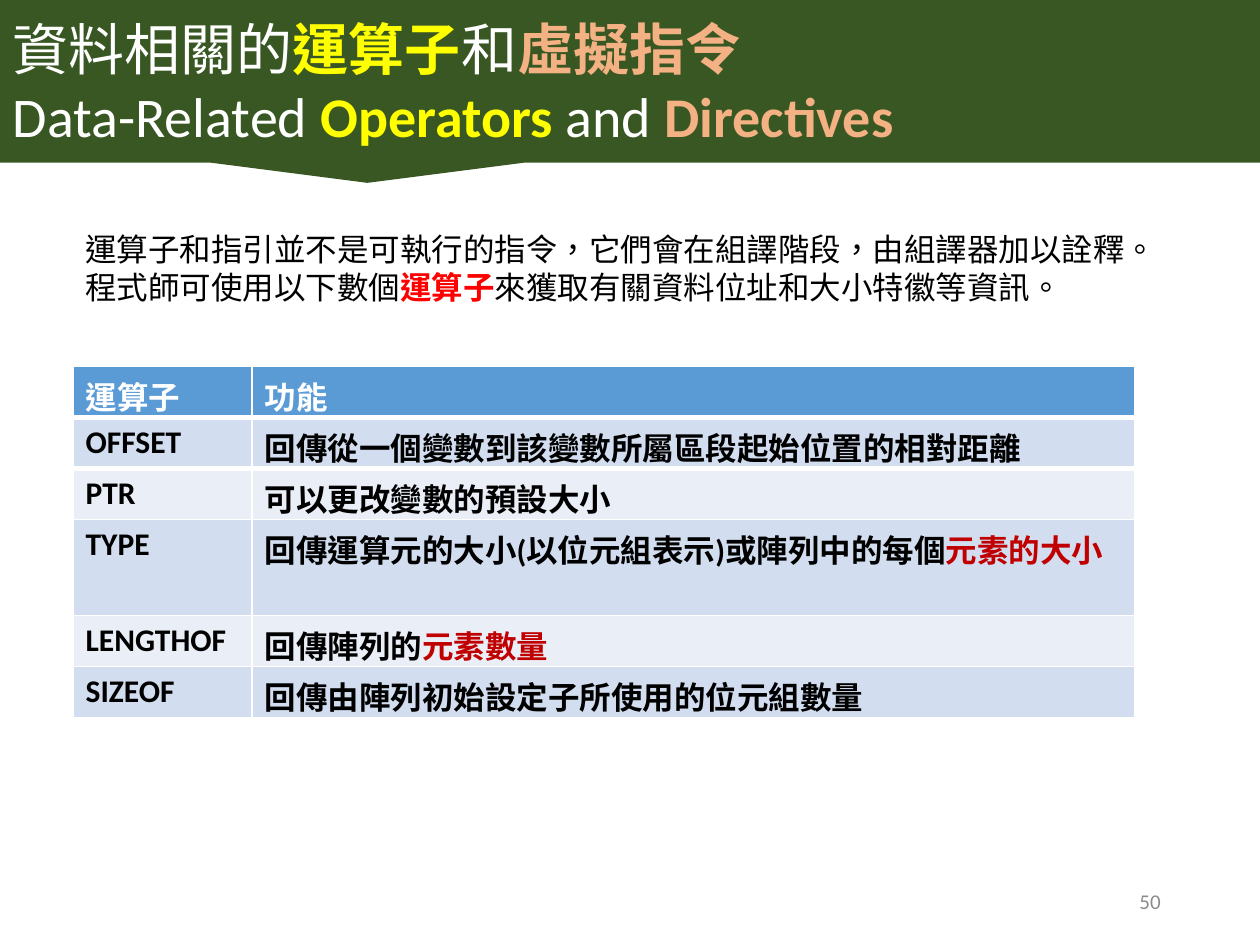
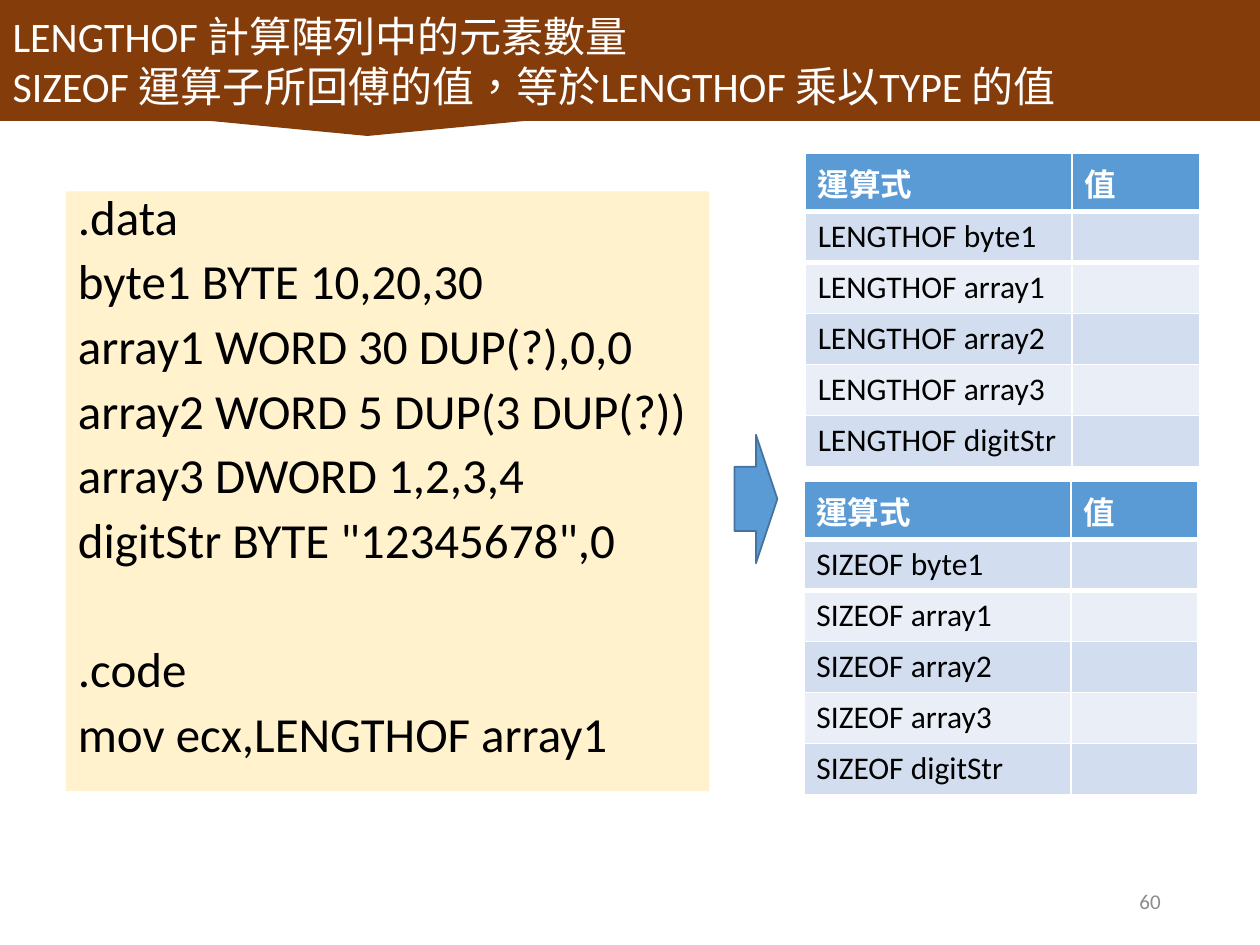
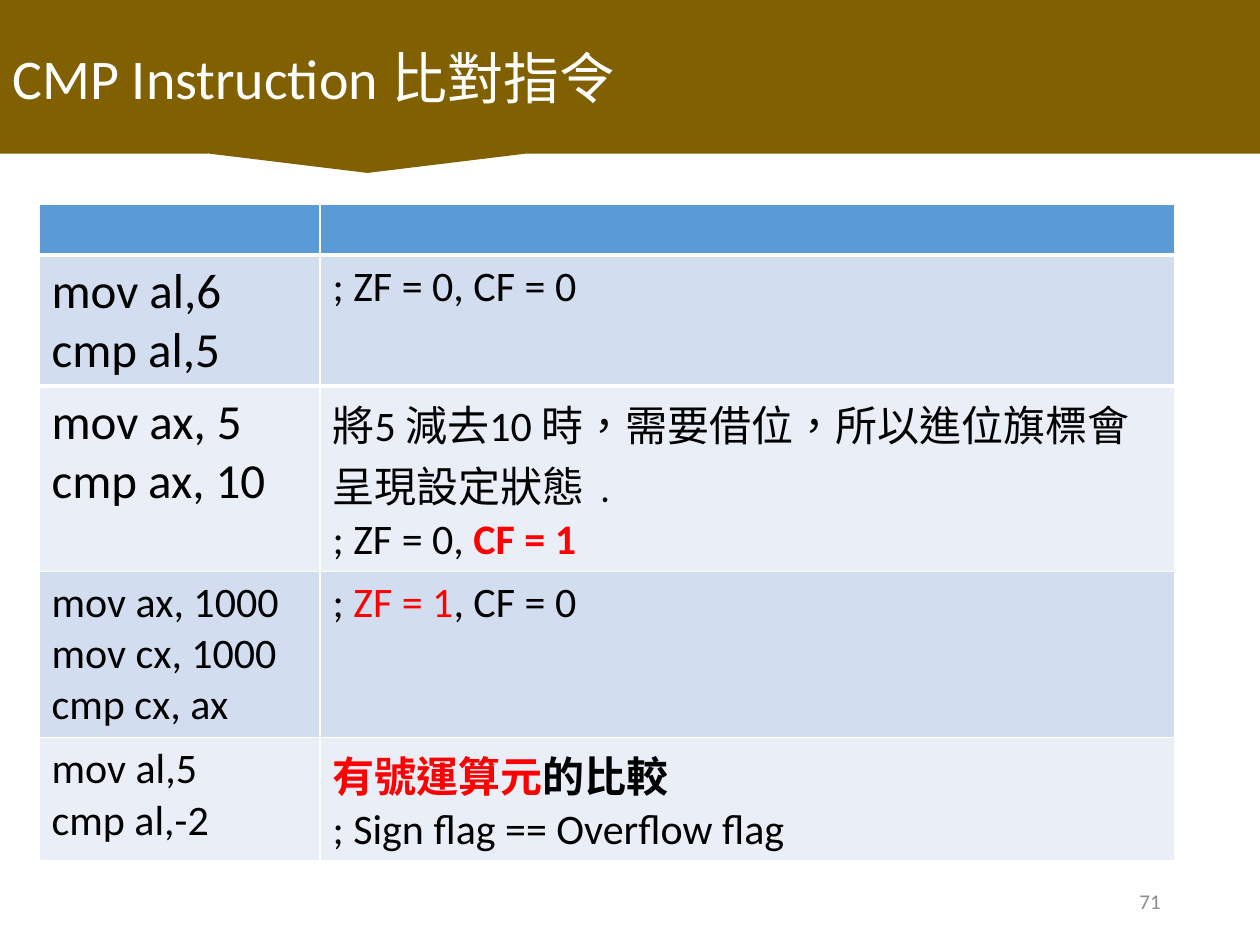
from dataclasses import dataclass
from typing import NamedTuple

from lxml.etree import Element, SubElement
from pptx import Presentation
from pptx.dml.color import RGBColor
from pptx.enum.lang import MSO_LANGUAGE_ID
from pptx.enum.shapes import MSO_SHAPE
from pptx.enum.text import MSO_ANCHOR, MSO_AUTO_SIZE, PP_ALIGN
from pptx.oxml.ns import qn
from pptx.util import Inches, Pt

# The slide is a grid of 100 columns by 75 rows of square cells.
COLUMNS, ROWS = 100, 75
CELL = Inches(0.1)
TABLE_ROW = 4.05

FONT = "Calibri"
WHITE, BLACK, GREY = "FFFFFF", "000000", "8C8C8C"
RED, DARK_RED, YELLOW, ORANGE = "FF0000", "C00000", "FFFF00", "F4B183"
GREEN, BROWN, OLIVE, CREAM = "385723", "843C0B", "806000", "FFF2CC"
BLUE, BLUE_EDGE = "5B9BD5", "43739E"
BANDS = ("D2DEEF", "EAEFF7")
LINE_BREAK = "\n"


class Box(NamedTuple):
    """An area in grid cells."""
    left: float
    top: float
    width: float
    height: float

    def lengths(self):
        return [round(value * CELL) for value in self]


class Run(NamedTuple):
    text: str
    color: str = None
    bold: bool = None


@dataclass
class Text:
    """Lines of text in one style; a line is a string or a list of runs."""
    lines: list
    size: int = 18
    color: str = BLACK
    bold: bool = False


def rgb(value):
    return RGBColor.from_string(value)


def paint(target, color):
    target.fill.solid()
    target.fill.fore_color.rgb = rgb(color)


def add_runs(paragraph, line):
    for item in [line] if isinstance(line, str) else line:
        if item == LINE_BREAK:
            paragraph.add_line_break()
            continue
        style = Run(item) if isinstance(item, str) else item
        run = paragraph.add_run()
        run.text = style.text
        if style.color:
            run.font.color.rgb = rgb(style.color)
        if style.bold is not None:
            run.font.bold = style.bold


def write(frame, text, alignment=PP_ALIGN.LEFT):
    for index, line in enumerate(text.lines):
        paragraph = frame.add_paragraph() if index else frame.paragraphs[0]
        paragraph.alignment = alignment
        font = paragraph.font
        font.name, font.size, font.bold = FONT, Pt(text.size), text.bold
        font.color.rgb = rgb(text.color)
        font.language_id = MSO_LANGUAGE_ID.TRADITIONAL_CHINESE
        add_runs(paragraph, line)


def add_text(slide, box, text, alignment=PP_ALIGN.LEFT, anchor=MSO_ANCHOR.TOP):
    shape = slide.shapes.add_textbox(*box.lengths())
    shape.text_frame.word_wrap = True
    shape.text_frame.vertical_anchor = anchor
    write(shape.text_frame, text, alignment)
    return shape


def add_preset(slide, preset, box, color):
    shape = slide.shapes.add_shape(preset, *box.lengths())
    shape.shadow.inherit = False
    paint(shape, color)
    shape.line.fill.background()
    return shape


def add_title_band(slide, height, color, text):
    """Lay a callout band across the top, with the title placeholder over it."""
    box = Box(0, 0, COLUMNS, height)
    band = add_preset(slide, MSO_SHAPE.RECTANGULAR_CALLOUT, box, color)
    title = slide.shapes.title
    title._element.addprevious(band._element)
    title.left, title.top, title.width, title.height = box.lengths()
    frame = title.text_frame
    frame.word_wrap = True
    frame.auto_size = MSO_AUTO_SIZE.NONE
    frame.vertical_anchor = MSO_ANCHOR.MIDDLE
    write(frame, text)


def add_page_number(slide, number):
    add_text(slide, Box(70.6, 69.5, 22.5, 4), Text([str(number)], 12, GREY),
             PP_ALIGN.RIGHT, MSO_ANCHOR.MIDDLE)


def add_header_rule(cell, side):
    """Draw the thick white rule below the header on one side of a cell."""
    rule = Element(qn(f"a:{side}"), w=str(Pt(3)))
    fill = SubElement(rule, qn("a:solidFill"))
    SubElement(fill, qn("a:srgbClr"), val=WHITE)
    cell._tc.get_or_add_tcPr().insert(0, rule)


def add_banded_table(slide, left, top, widths, heights, rows):
    """Draw rows of Text cells, the first being the header; None is empty."""
    box = Box(left, top, sum(widths), sum(heights))
    table = slide.shapes.add_table(len(rows), len(widths), *box.lengths()).table
    for column, width in zip(table.columns, widths):
        column.width = round(width * CELL)
    for row, height in zip(table.rows, heights):
        row.height = round(height * CELL)
    for row_index, row in enumerate(rows):
        for column_index, text in enumerate(row):
            cell = table.cell(row_index, column_index)
            paint(cell, BANDS[(row_index - 1) % 2] if row_index else BLUE)
            if row_index < 2:
                add_header_rule(cell, "lnT" if row_index else "lnB")
            if text:
                write(cell.text_frame, text)


def header(*labels):
    return [Text([label], color=WHITE, bold=True) for label in labels]


def add_code_panel(slide, box, sections):
    """Show code sections, set apart by the height of one more line."""
    lines = [line for section in sections for line in section]
    starts = {section[0] for section in sections}
    panel = add_text(slide, box, Text(lines, 28))
    paint(panel, CREAM)
    for index, paragraph in enumerate(panel.text_frame.paragraphs):
        paragraph.line_spacing = 0.8
        if index:
            paragraph.space_before = Pt(47 if lines[index] in starts else 10)


def add_arrow(slide, box):
    arrow = add_preset(slide, MSO_SHAPE.RIGHT_ARROW, box, BLUE)
    arrow.line.color.rgb = rgb(BLUE_EDGE)
    arrow.line.width = Pt(1)


def add_slide(presentation, number, band_height, band_color, title):
    slide = presentation.slides.add_slide(presentation.slide_layouts[5])
    add_title_band(slide, band_height, band_color, title)
    add_page_number(slide, number)
    return slide


def build_operators(presentation):
    title = Text([[
        "資料相關的", Run("運算子", YELLOW, True), "和", Run("虛擬指令", ORANGE, True),
        LINE_BREAK,
        "Data-Related ", Run("Operators", YELLOW, True), " and ",
        Run("Directives", ORANGE, True),
    ]], 32, WHITE)
    slide = add_slide(presentation, 50, 12.9, GREEN, title)
    add_text(slide, Box(5.8, 17.8, 87.2, 7.1), Text([
        "運算子和指引並不是可執行的指令，它們會在組譯階段，由組譯器加以詮釋。",
        ["程式師可使用以下數個", Run("運算子", RED, True),
         "來獲取有關資料位址和大小特徽等資訊。"],
    ]))
    operators = [
        ("OFFSET", "回傳從一個變數到該變數所屬區段起始位置的相對距離"),
        ("PTR", "可以更改變數的預設大小"),
        ("TYPE", ["回傳運算元的大小(以位元組表示)或陣列中的每個",
                  Run("元素的大小", DARK_RED)]),
        ("LENGTHOF", ["回傳陣列的", Run("元素數量", DARK_RED)]),
        ("SIZEOF", "回傳由陣列初始設定子所使用的位元組數量"),
    ]
    rows = [[Text([line], bold=True) for line in row] for row in operators]
    heights = [TABLE_ROW] * 3 + [7.6] + [TABLE_ROW] * 2
    add_banded_table(slide, 5.8, 29.1, (14.2, 70.1), heights,
                     [header("運算子", "功能"), *rows])


def build_lengthof(presentation):
    title = Text(["LENGTHOF 計算陣列中的元素數量",
                  "SIZEOF 運算子所回傅的值，等於LENGTHOF 乘以TYPE 的值"], 24, WHITE)
    slide = add_slide(presentation, 60, 9.6, BROWN, title)
    add_code_panel(slide, Box(5.2, 15.2, 51.1, 47.6), [
        [".data",
         "byte1 BYTE 10,20,30",
         "array1 WORD 30 DUP(?),0,0",
         "array2 WORD 5 DUP(3 DUP(?))",
         "array3 DWORD 1,2,3,4",
         'digitStr BYTE "12345678",0'],
        [".code",
         "mov ecx,LENGTHOF array1"],
    ])
    add_arrow(slide, Box(58.3, 34.5, 3.4, 10.2))
    variables = ("byte1", "array1", "array2", "array3", "digitStr")
    heights = [4.6] + [TABLE_ROW] * len(variables)
    for operator, left, top in (("LENGTHOF", 63.9, 12.2), ("SIZEOF", 63.8, 38.2)):
        rows = [[Text([f"{operator} {name}"]), None] for name in variables]
        add_banded_table(slide, left, top, (21.2, 10.1), heights,
                         [header("運算式", "值"), *rows])


def build_compare(presentation):
    title = Text(["CMP Instruction 比對指令"], 32, WHITE)
    slide = add_slide(presentation, 71, 12.2, OLIVE, title)
    heights = (TABLE_ROW, 10.4, 14.7, 13.2, 9.8)
    add_banded_table(slide, 3.1, 16.2, (22.3, 67.8), heights, [
        [None, None],
        [Text(["mov al,6", "cmp al,5"], 28),
         Text(["; ZF = 0, CF = 0"], 24)],
        [Text(["mov ax, 5", "cmp ax, 10"], 28),
         Text(["將5 減去10 時，需要借位，所以進位旗標會呈現設定狀態﹒",
               ["; ZF = 0, ", Run("CF = 1", RED, True)]], 24)],
        [Text(["mov ax, 1000", "mov cx, 1000", "cmp cx, ax"], 24),
         Text([["; ", Run("ZF = 1", RED), ", CF = 0"]], 24)],
        [Text(["mov al,5", "cmp al,-2"], 24),
         Text([[Run("有號運算元", RED, True), Run("的比較", bold=True)],
               "; Sign flag == Overflow flag"], 24)],
    ])


def main():
    presentation = Presentation()
    presentation.slide_width = COLUMNS * CELL
    presentation.slide_height = ROWS * CELL
    build_operators(presentation)
    build_lengthof(presentation)
    build_compare(presentation)
    presentation.save("out.pptx")


if __name__ == "__main__":
    main()
